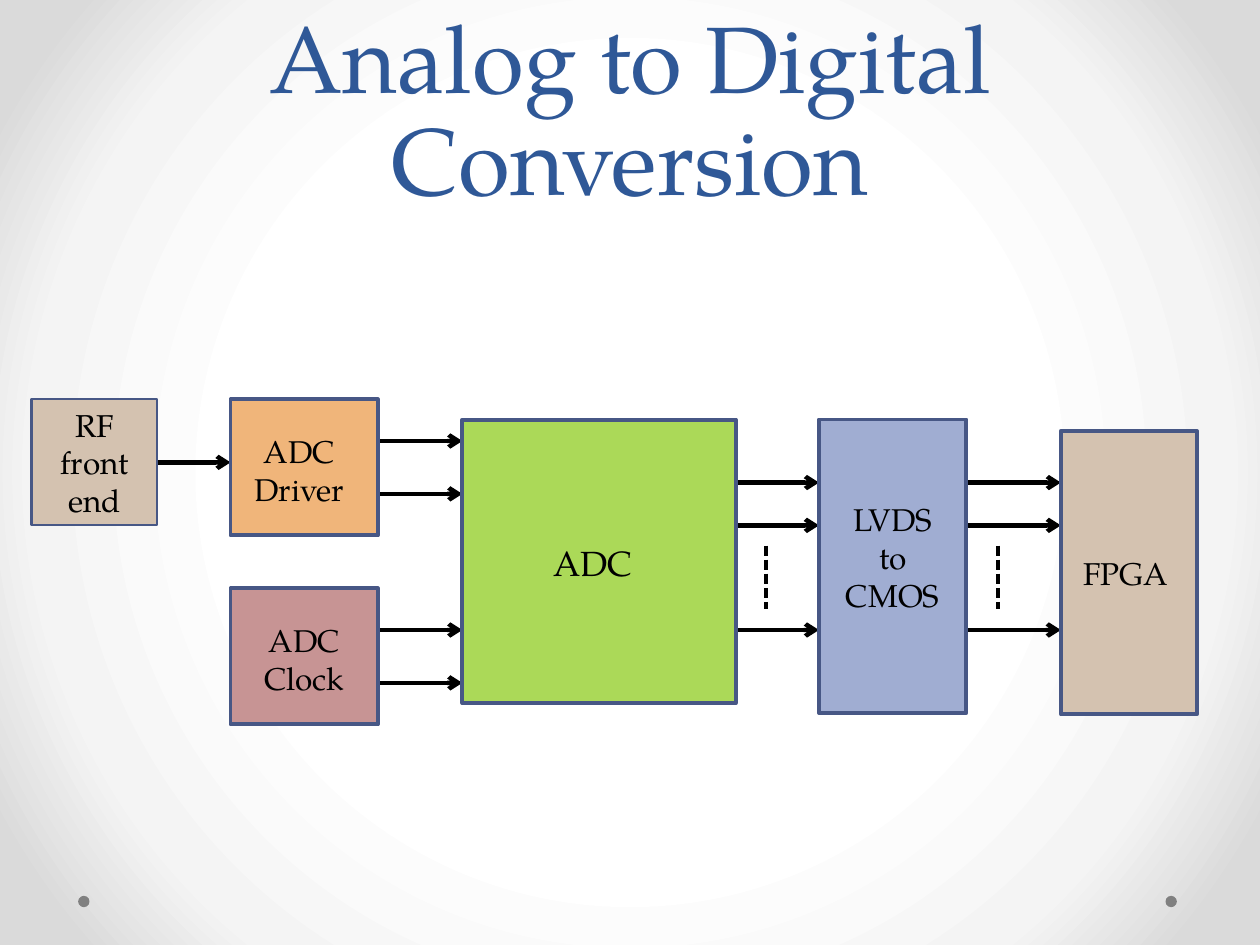
from pptx import Presentation
from pptx.dml.color import RGBColor
from pptx.enum.dml import MSO_LINE
from pptx.enum.shapes import MSO_CONNECTOR, MSO_SHAPE
from pptx.enum.text import MSO_ANCHOR, MSO_AUTO_SIZE, PP_ALIGN
from pptx.oxml import parse_xml
from pptx.oxml.ns import nsdecls, qn
from pptx.util import Inches, Pt
from lxml import etree

RECTANGLE, ELLIPSE = MSO_SHAPE.RECTANGLE, MSO_SHAPE.OVAL
STRAIGHT = MSO_CONNECTOR.STRAIGHT
DASH = MSO_LINE.SQUARE_DOT
CENTER, LEFT = PP_ALIGN.CENTER, PP_ALIGN.LEFT
TOP, BOTTOM = MSO_ANCHOR.TOP, MSO_ANCHOR.BOTTOM
NO_AUTOFIT = MSO_AUTO_SIZE.NONE

FONT = "TeX Gyre Pagella"
TITLE_BLUE = RGBColor(0x2F, 0x58, 0x97)
BLACK = RGBColor(0x00, 0x00, 0x00)
GRAY = RGBColor(0x80, 0x80, 0x80)
OUTLINE = RGBColor(0x47, 0x57, 0x85)
TAN = RGBColor(0xD4, 0xC2, 0xB0)
ORANGE = RGBColor(0xF0, 0xB5, 0x7A)
ROSE = RGBColor(0xC7, 0x94, 0x94)
GREEN = RGBColor(0xAB, 0xD9, 0x58)
PERIWINKLE = RGBColor(0xA0, 0xAD, 0xD2)
WHITE = RGBColor(0xFF, 0xFF, 0xFF)
PALE = RGBColor(0xF4, 0xF4, 0xF4)
SILVER = RGBColor(0xDA, 0xDA, 0xDA)

BACKGROUND_STOPS = [(50, WHITE), (76, PALE), (92, SILVER)]

BLOCKS = [
    (0.25, 3.17, 1, 1, TAN, 1.25),
    (1.83, 3.17, 1.17, 1.08, ORANGE, 2.25),
    (1.83, 4.67, 1.17, 1.08, ROSE, 2.25),
    (3.67, 3.33, 2.17, 2.25, GREEN, 2.25),
    (6.5, 3.33, 1.17, 2.33, PERIWINKLE, 2.25),
    (8.42, 3.42, 1.08, 2.25, TAN, 2.25),
]

LABELS = [
    (0.25, 3.17, 1, 1, ["RF front end"], 18, CENTER),
    (1.75, 3.38, 1.25, 0.71, ["ADC Driver"], 18, CENTER),
    (1.83, 4.88, 1.17, 0.71, ["ADC Clock"], 18, CENTER),
    (4.08, 4.25, 1.25, 0.44, ["ADC"], 20, CENTER),
    (6.5, 3.92, 1.17, 1.01, ["LVDS", "to", "CMOS"], 18, CENTER),
    (8.5, 4.35, 0.92, 0.4, ["FPGA"], 18, LEFT),
]

SIGNALS = [
    (1.25, 1.83, [3.67]),
    (3, 3.67, [3.5, 3.92, 5, 5.42]),
    (5.83, 6.5, [3.83, 4.17, 5]),
    (7.67, 8.42, [3.83, 4.17, 5]),
]


def set_background(slide):
    slide.background.fill.gradient()
    stops = "".join(
        f'<a:gs pos="{position * 1000}"><a:srgbClr val="{color}"/></a:gs>'
        for position, color in BACKGROUND_STOPS
    )
    gradient = parse_xml(
        f'<a:gradFill {nsdecls("a")} rotWithShape="1"><a:gsLst>{stops}</a:gsLst>'
        '<a:path path="circle"><a:fillToRect l="50000" t="50000" r="50000" b="50000"/>'
        "</a:path></a:gradFill>"
    )
    old_gradient = slide.element.find(".//" + qn("a:gradFill"))
    old_gradient.getparent().replace(old_gradient, gradient)


def add_run(paragraph, text, size, color):
    run = paragraph.add_run()
    run.text = text
    run.font.name = FONT
    run.font.size = Pt(size)
    run.font.color.rgb = color


def set_title(slide, text):
    title = slide.shapes.title
    title.left, title.top = Inches(0.5), Inches(0)
    title.width, title.height = Inches(9), Inches(1.75)
    frame = title.text_frame
    frame.auto_size = NO_AUTOFIT
    frame.word_wrap = True
    frame.vertical_anchor = BOTTOM
    paragraph = frame.paragraphs[0]
    paragraph.alignment = CENTER
    paragraph.line_spacing = Pt(58)
    add_run(paragraph, text, 54, TITLE_BLUE)


def add_filled_shape(slide, kind, left, top, width, height, color):
    shape = slide.shapes.add_shape(
        kind, Inches(left), Inches(top), Inches(width), Inches(height)
    )
    shape.shadow.inherit = False
    shape.fill.solid()
    shape.fill.fore_color.rgb = color
    shape.line.fill.background()
    return shape


def add_block(slide, left, top, width, height, color, line_width):
    block = add_filled_shape(slide, RECTANGLE, left, top, width, height, color)
    block.line.color.rgb = OUTLINE
    block.line.width = Pt(line_width)


def add_label(slide, left, top, width, height, lines, size, alignment):
    label = slide.shapes.add_textbox(
        Inches(left), Inches(top), Inches(width), Inches(height)
    )
    frame = label.text_frame
    frame.word_wrap = True
    frame.vertical_anchor = TOP
    for index, line in enumerate(lines):
        paragraph = frame.add_paragraph() if index else frame.paragraphs[0]
        paragraph.alignment = alignment
        add_run(paragraph, line, size, BLACK)


def add_line(slide, start, end, width):
    connector = slide.shapes.add_connector(
        STRAIGHT, *(Inches(value) for value in (*start, *end))
    )
    connector.line.color.rgb = BLACK
    connector.line.width = Pt(width)
    etree.SubElement(connector.element.spPr, qn("a:effectLst"))
    return connector


def add_arrow(slide, start, end):
    arrow = add_line(slide, start, end, 2.5)
    etree.SubElement(arrow.line._get_or_add_ln(), qn("a:tailEnd"), type="arrow")


def add_omitted_signals(slide, x):
    add_line(slide, (x, 4.33), (x, 4.83), 2).line.dash_style = DASH


def main():
    presentation = Presentation()
    presentation.slide_width = Inches(10)
    presentation.slide_height = Inches(7.5)
    slide = presentation.slides.add_slide(presentation.slide_layouts[5])
    set_background(slide)
    for left in (0.62, 9.25):
        add_filled_shape(slide, ELLIPSE, left, 7.11, 0.09, 0.09, GRAY)
    set_title(slide, "Analog to Digital Conversion")
    for left, right, heights in SIGNALS:
        for y in heights:
            add_arrow(slide, (left, y), (right, y))
    for x in (6.08, 7.92):
        add_omitted_signals(slide, x)
    for block in BLOCKS:
        add_block(slide, *block)
    for label in LABELS:
        add_label(slide, *label)
    presentation.save("out.pptx")


if __name__ == "__main__":
    main()
